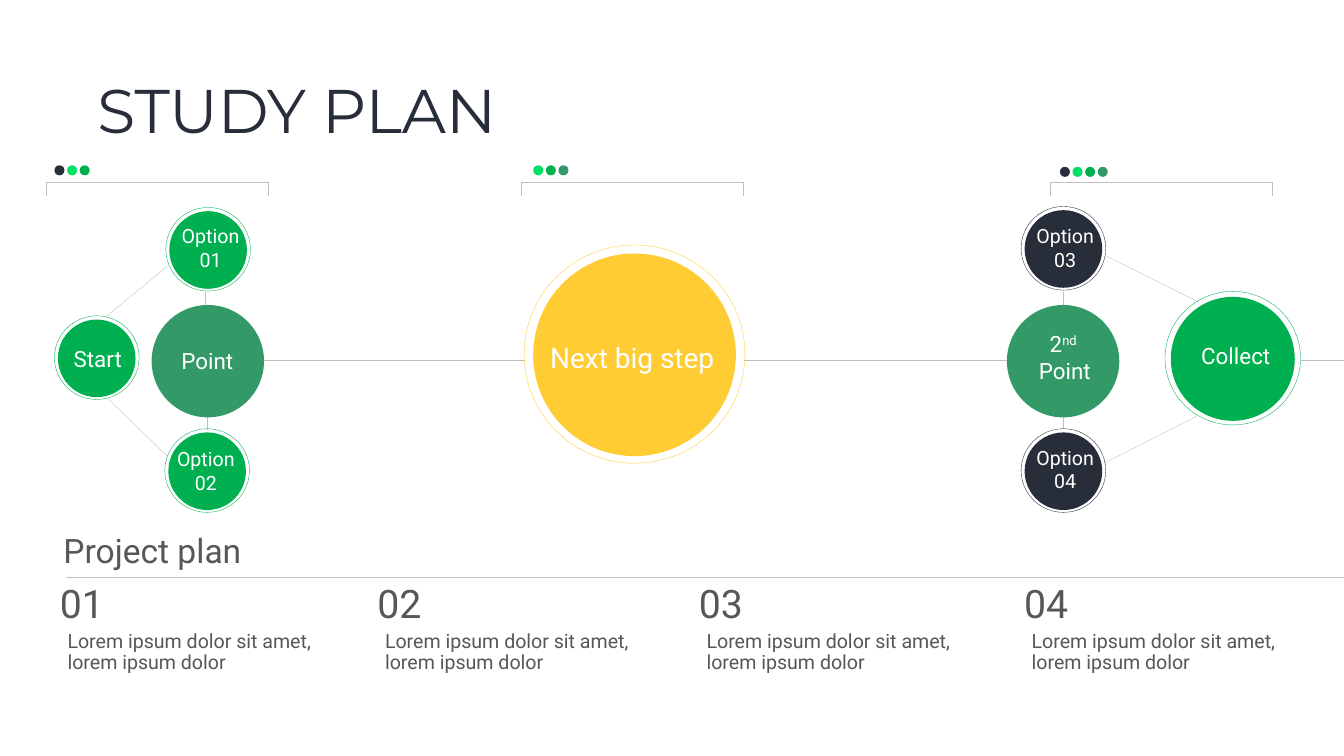
from lxml.etree import SubElement
from pptx import Presentation
from pptx.dml.color import RGBColor
from pptx.enum.shapes import MSO_CONNECTOR, MSO_SHAPE
from pptx.enum.text import MSO_ANCHOR, MSO_AUTO_SIZE, PP_ALIGN
from pptx.oxml.ns import qn
from pptx.util import Inches, Pt

WIDTH, HEIGHT = Inches(26.67), Inches(15)
COLS, ROWS = 80, 45

NAVY = RGBColor(0x27, 0x2E, 0x3A)
LIME = RGBColor(0x00, 0xE2, 0x66)
GREEN = RGBColor(0x00, 0xB0, 0x50)
SAGE = RGBColor(0x33, 0x99, 0x66)
YELLOW = RGBColor(0xFF, 0xCC, 0x33)
GREY = RGBColor(0x57, 0x56, 0x5A)
RULE = RGBColor(0xBF, 0xBF, 0xBF)
WHITE = RGBColor(0xFF, 0xFF, 0xFF)

AXIS = 21.42
STEP_TEXT = ["Lorem ipsum dolor sit amet,", "lorem ipsum dolor"]
STEP_COLS = [3.27, 22.17, 41.31, 60.66]

# Circle size, ring width, ring height
SMALL = (4.62, 5.04, 4.98)
MEDIUM = (6.69, None, None)
LARGE = (7.38, 8.07, 7.95)
HUGE = (12.06, 13.14, 12.99)

# Centre column, centre row, sizes, colour
NODES = [
    (37.77, 21.12, HUGE, YELLOW),
    (5.76, 21.33, SMALL, GREEN),
    (12.37, 21.5, MEDIUM, SAGE),
    (12.39, 14.88, SMALL, GREEN),
    (12.33, 28.05, SMALL, GREEN),
    (63.28, 21.5, MEDIUM, SAGE),
    (63.3, 14.82, SMALL, NAVY),
    (63.3, 28.05, SMALL, NAVY),
    (73.38, 21.36, LARGE, GREEN),
]

# Paragraphs, centre column, centre row, width, height, text size
LABELS = [
    (["Start"], 5.82, 21.36, 5.82, 1.92, 32),
    (["Option 01"], 12.53, 14.76, 4.89, 3.12, 28),
    (["Option 02"], 12.25, 28.02, 4.89, 3.12, 28),
    (["Point"], 12.34, 21.45, 5.55, 1.92, 32),
    (["Next big step"], 37.63, 21.29, 11.79, 2.31, 40),
    ([("2", "nd "), "Point"], 63.38, 21.27, 7.41, 3.54, 32),
    (["Collect"], 73.56, 21.18, 7.74, 1.92, 32),
    (["Option 03"], 63.4, 14.76, 4.89, 3.12, 28),
    (["Option 04"], 63.4, 27.93, 4.89, 3.12, 28),
]

LINKS = [
    (15.72, AXIS, 31.2, AXIS),
    (44.31, AXIS, 60.03, AXIS),
    (77.43, AXIS, COLS, AXIS),
    (9.99, 27.18, 6.45, 23.76),
    (6.3, 18.87, 9.96, 15.84),
    (12.33, 24.78, 12.33, 25.59),
    (12.21, 17.37, 12.21, 18.18),
    (71.28, 24.75, 65.73, 27.57),
    (71.34, 17.97, 65.85, 15.24),
    (63.3, 17.37, 63.3, 18.18),
    (63.3, 24.75, 63.3, 25.56),
]

# Bracket column, first dot column, dot row, dot colours
PHASES = [
    (2.76, 3.24, 9.84, [NAVY, LIME, GREEN]),
    (31.02, 31.74, 9.84, [LIME, GREEN, SAGE]),
    (62.49, 63.09, 9.93, [NAVY, LIME, GREEN, SAGE]),
]


def x(col):
    return round(WIDTH * col / COLS)


def y(row):
    return round(HEIGHT * row / ROWS)


def set_all(target, values):
    for name, value in values.items():
        setattr(target, name, value)


def add_line(s, c1, r1, c2, r2):
    line = s.shapes.add_connector(MSO_CONNECTOR.STRAIGHT, x(c1), y(r1), x(c2), y(r2))
    line.line.color.rgb = RULE
    line.line.width = Pt(0.5)
    SubElement(line._element.spPr, qn("a:effectLst"))


def add_ellipse(s, col, row, w, h, fill=None, outline=None):
    sp = s.shapes.add_shape(MSO_SHAPE.OVAL, x(col), y(row), x(w), y(h))
    sp.shadow.inherit = False
    if fill is None:
        sp.fill.background()
    else:
        sp.fill.solid()
        sp.fill.fore_color.rgb = fill
    if outline is None:
        sp.line.fill.background()
    else:
        sp.line.color.rgb = outline
        sp.line.width = Pt(0.5)


def add_text(s, paragraphs, col, row, w, h, size, color=GREY, font="Roboto",
             frame=None, para=None):
    """Add a text box; a paragraph given as a pair ends in superscript."""
    tf = s.shapes.add_textbox(x(col), y(row), x(w), y(h)).text_frame
    set_all(tf, {"word_wrap": True, "auto_size": MSO_AUTO_SIZE.SHAPE_TO_FIT_TEXT,
                 **(frame or {})})
    for i, content in enumerate(paragraphs):
        p = tf.paragraphs[0] if i == 0 else tf.add_paragraph()
        set_all(p, para or {})
        parts = (content,) if isinstance(content, str) else content
        for j, part in enumerate(parts):
            r = p.add_run()
            r.text = part
            set_all(r.font, {"size": Pt(size), "name": font})
            r.font.color.rgb = color
            if j:
                r._r.get_or_add_rPr().set("baseline", "30000")


def add_node(s, col, row, sizes, color):
    """Add a filled circle with an optional thin ring around it."""
    d, ring_w, ring_h = sizes
    add_ellipse(s, col - d / 2, row - d / 2, d, d, fill=color)
    if ring_w:
        add_ellipse(s, col - ring_w / 2, row - 0.04 - ring_h / 2,
                    ring_w, ring_h, outline=color)


def add_phase(s, col, dot_col, dot_row, colors):
    """Add a bracket with a row of dots above it."""
    right, top, bottom = col + 13.23, 10.86, 11.64
    add_line(s, col, top, right, top)
    for end in (col, right):
        add_line(s, end, top, end, bottom)
    for i, color in enumerate(colors):
        add_ellipse(s, dot_col + 0.75 * i, dot_row, 0.6, 0.6, fill=color)


def add_step(s, number, col):
    add_text(s, [f"{number:02}"], col, 34.32, 6.54, 3.12, 56)
    add_text(s, STEP_TEXT, col - 0.84, 37.47, 20.1, 3.06, 28,
             frame={"margin_left": x(1.59), "margin_right": x(1.59),
                    "margin_top": y(0.15), "margin_bottom": y(0.39)},
             para={"line_spacing": 0.89})


def main():
    prs = Presentation()
    set_all(prs, {"slide_width": WIDTH, "slide_height": HEIGHT})
    s = prs.slides.add_slide(prs.slide_layouts[6])

    add_text(s, ["STUDY PLAN"], 5.5, 2.4, 69, 8.7, 88, NAVY, "Montserrat",
             frame={"auto_size": MSO_AUTO_SIZE.NONE,
                    "vertical_anchor": MSO_ANCHOR.MIDDLE},
             para={"line_spacing": 0.9})
    for phase in PHASES:
        add_phase(s, *phase)
    for link in LINKS:
        add_line(s, *link)
    for node in NODES:
        add_node(s, *node)
    for words, col, row, w, h, size in LABELS:
        add_text(s, words, col - w / 2, row - h / 2, w, h, size, WHITE,
                 para={"alignment": PP_ALIGN.CENTER})

    add_line(s, 3.9, 34.38, COLS, 34.38)
    add_text(s, ["Project plan"], 3.48, 31.41, 17.85, 2.73, 48)
    for number, col in enumerate(STEP_COLS, 1):
        add_step(s, number, col)
    prs.save("out.pptx")


if __name__ == "__main__":
    main()
